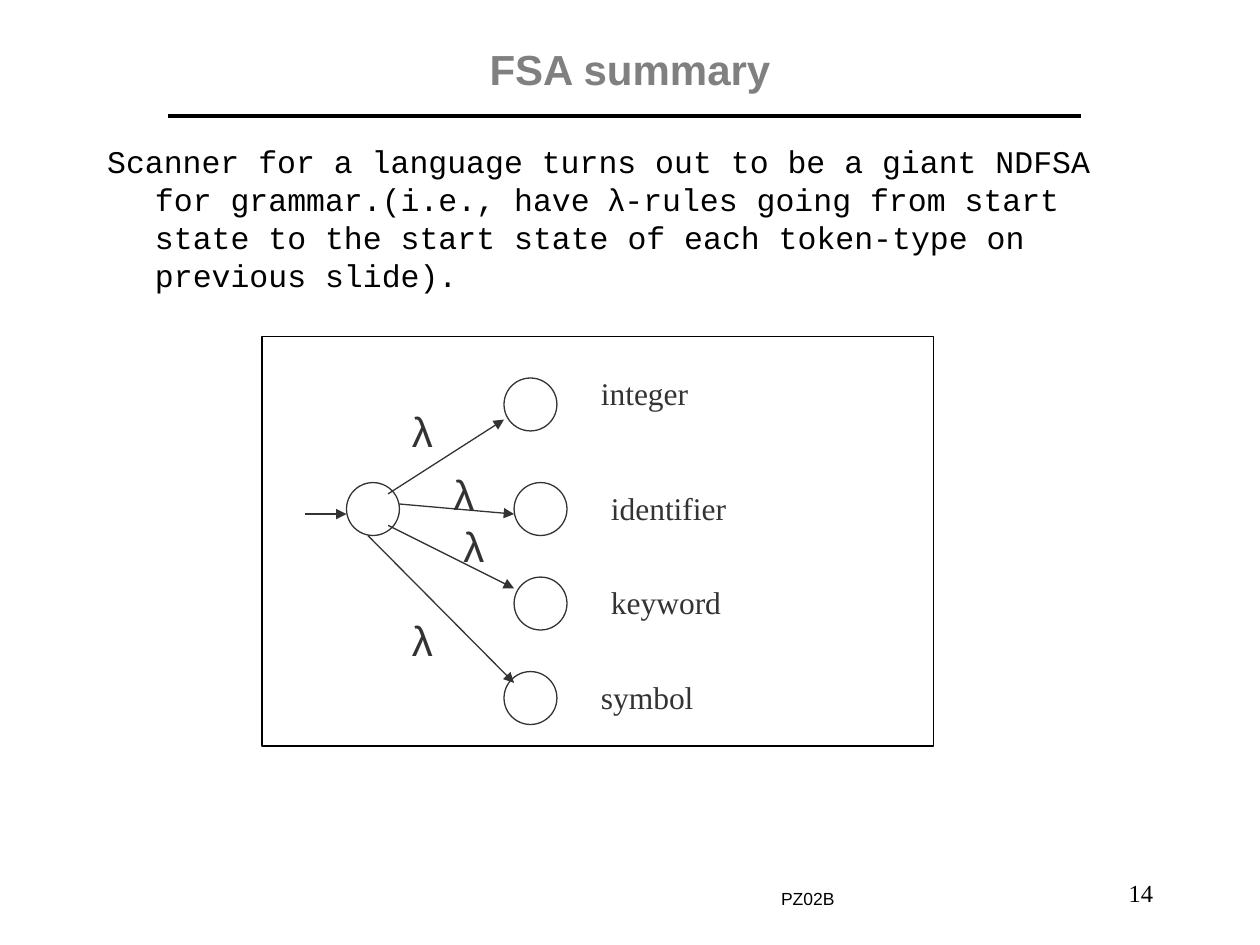
from dataclasses import dataclass

from lxml import etree
from pptx import Presentation
from pptx import util as u
from pptx.dml.color import RGBColor
from pptx.enum import shapes, text
from pptx.oxml.ns import qn

HUES = {"ink": "000000", "dark": "333333", "gray": "808080", "paper": "FFFFFF"}
SIDE = 0.42


@dataclass
class Node:
    left: float
    top: float


@dataclass
class Label:
    words: str
    left: float
    top: float
    width: float
    height: float = 0.4
    size: float = 18
    face: str = "Times New Roman"
    hue: str = "dark"
    align: text.PP_ALIGN = text.PP_ALIGN.LEFT
    wrap: bool = True
    grow: bool = True


@dataclass
class Edge:
    x1: float
    y1: float
    x2: float
    y2: float
    hue: str = "dark"
    weight: float = 0.75
    arrow: bool = True


def shade(hue: str) -> RGBColor:
    return RGBColor.from_string(HUES[hue])


def style(run, size: float, face: str, hue: str, bold: bool = False) -> None:
    run.font.size = u.Pt(size)
    run.font.name = face
    run.font.bold = bold
    run.font.color.rgb = shade(hue)


def place(shape, left: float, top: float, width: float, height: float) -> None:
    shape.left, shape.top = u.Inches(left), u.Inches(top)
    shape.width, shape.height = u.Inches(width), u.Inches(height)


def draw_shape(slide, kind, left: float, top: float, width: float,
               height: float, hue: str) -> None:
    shape = slide.shapes.add_shape(kind, *map(u.Inches, (left, top, width, height)))
    shape.shadow.inherit = False
    shape.fill.solid()
    shape.fill.fore_color.rgb = shade("paper")
    shape.line.color.rgb = shade(hue)
    shape.line.width = u.Pt(0.75)


def draw_node(slide, node: Node) -> None:
    draw_shape(slide, shapes.MSO_SHAPE.OVAL, node.left, node.top, SIDE, SIDE, "dark")


def draw_label(slide, label: Label) -> None:
    box = slide.shapes.add_textbox(*map(
        u.Inches, (label.left, label.top, label.width, label.height)))
    frame = box.text_frame
    frame.word_wrap = label.wrap
    if label.grow:
        frame.auto_size = text.MSO_AUTO_SIZE.SHAPE_TO_FIT_TEXT
    frame.text = label.words
    para = frame.paragraphs[0]
    para.alignment = label.align
    style(para.runs[0], label.size, label.face, label.hue)


def draw_edge(slide, edge: Edge) -> None:
    line = slide.shapes.add_connector(
        shapes.MSO_CONNECTOR.STRAIGHT,
        *map(u.Inches, (edge.x1, edge.y1, edge.x2, edge.y2)))
    line.line.color.rgb = shade(edge.hue)
    line.line.width = u.Pt(edge.weight)
    if edge.arrow:
        etree.SubElement(line.line._get_or_add_ln(), qn("a:tailEnd"), type="triangle")
    etree.SubElement(line._element.spPr, qn("a:effectLst"))


def fill_title(slide) -> None:
    title = slide.shapes.title
    place(title, 0.75, 0.17, 8.5, 0.75)
    frame = title.text_frame
    frame.auto_size = text.MSO_AUTO_SIZE.NONE
    frame.vertical_anchor = text.MSO_ANCHOR.MIDDLE
    frame.text = "FSA summary"
    frame.paragraphs[0].alignment = text.PP_ALIGN.CENTER
    style(frame.paragraphs[0].runs[0], 24, "Arial", "gray", True)


def fill_body(slide) -> None:
    body = slide.placeholders[1]
    place(body, 0.75, 1.08, 8.5, 5.83)
    frame = body.text_frame
    frame.auto_size = text.MSO_AUTO_SIZE.NONE
    para = frame.paragraphs[0]
    props = para._p.get_or_add_pPr()
    props.set("marL", str(u.Inches(0.38)))
    props.set("indent", str(u.Inches(-0.38)))
    etree.SubElement(props, qn("a:buNone"))
    para.space_before = u.Pt(0)
    parts = [
        ("Scanner for a language turns out to be a giant NDFSA for grammar.(i.e., have ",
         "Courier New"),
        ("λ", "Arial"),
        ("-rules going from start state to the start state of each token-type on "
         "previous slide).", "Courier New"),
    ]
    for words, face in parts:
        run = para.add_run()
        run.text = words
        style(run, 18, face, "ink")


def main() -> None:
    deck = Presentation()
    deck.slide_width, deck.slide_height = u.Inches(10), u.Inches(7.5)
    slide = deck.slides.add_slide(deck.slide_layouts[1])

    draw_edge(slide, Edge(1.33, 0.92, 8.58, 0.92, "ink", 2, False))
    fill_title(slide)
    fill_body(slide)
    draw_shape(slide, shapes.MSO_SHAPE.RECTANGLE, 2.08, 2.67, 5.33, 3.25, "ink")

    nodes = [Node(2.75, 3.83), Node(4, 3), Node(4.08, 3.83),
             Node(4.08, 4.58), Node(4, 5.33)]
    for node in nodes:
        draw_node(slide, node)

    tokens = [
        Label("integer", 4.67, 2.92, 1.08),
        Label("identifier", 4.75, 3.83, 1.33),
        Label("keyword", 4.75, 4.58, 1.08),
        Label("symbol", 4.67, 5.33, 1.08),
    ]
    for token in tokens:
        draw_label(slide, token)

    edges = [
        Edge(3.08, 3.92, 4, 3.33),
        Edge(3.17, 4, 4.08, 4.08),
        Edge(3.08, 4.17, 4.08, 4.67),
        Edge(2.92, 4.25, 4.08, 5.42),
        Edge(2.42, 4.08, 2.75, 4.08),
    ]
    for edge in edges:
        draw_edge(slide, edge)

    for left, top in [(3.17, 3.17), (3.5, 3.67), (3.58, 4.08), (3.17, 4.83)]:
        draw_label(slide, Label("λ", left, top, 0.38, 0.5, 24, "Arial", wrap=False))

    right = text.PP_ALIGN.RIGHT
    draw_label(slide, Label("PZ02B", 0.83, 7, 5.89, 0.33, 10, "Arial", "ink",
                            right, grow=False))
    draw_label(slide, Label("14", 7.17, 6.92, 2.08, 0.42, 14, hue="ink",
                            align=right, grow=False))
    deck.save("out.pptx")


if __name__ == "__main__":
    main()
